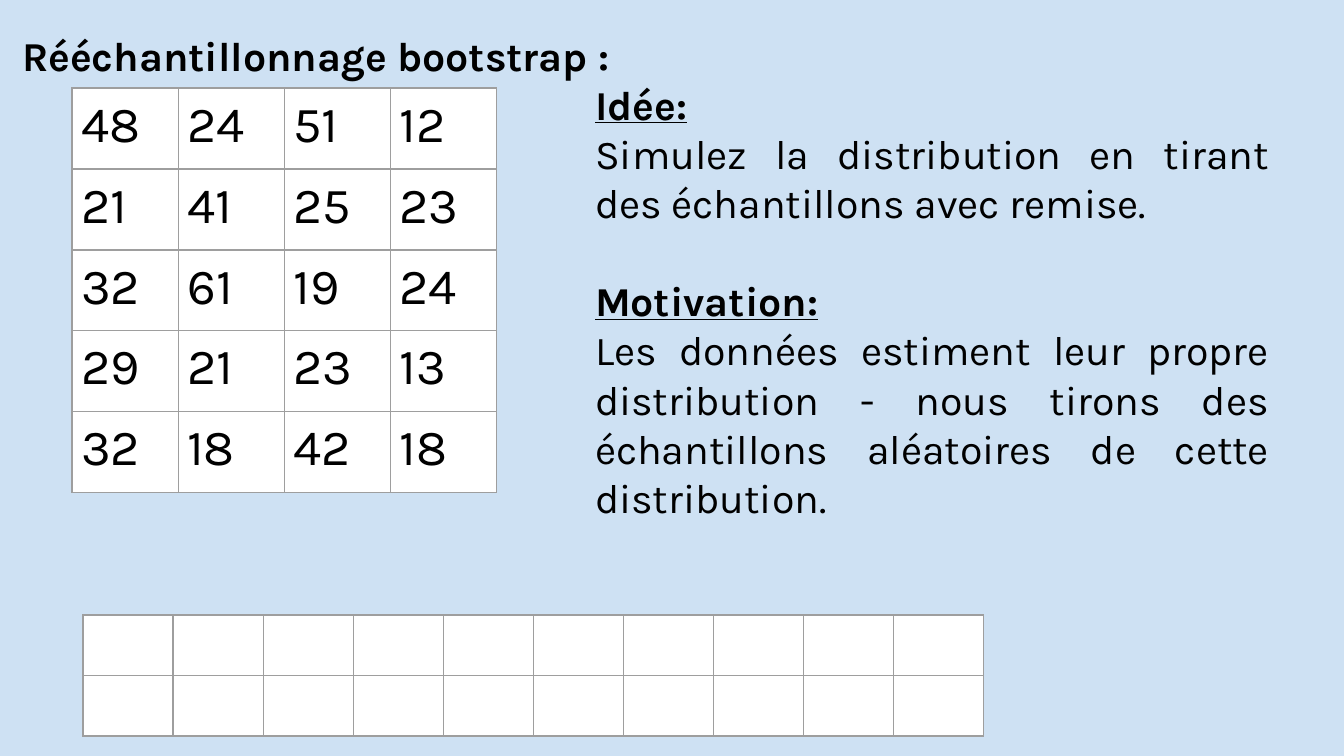
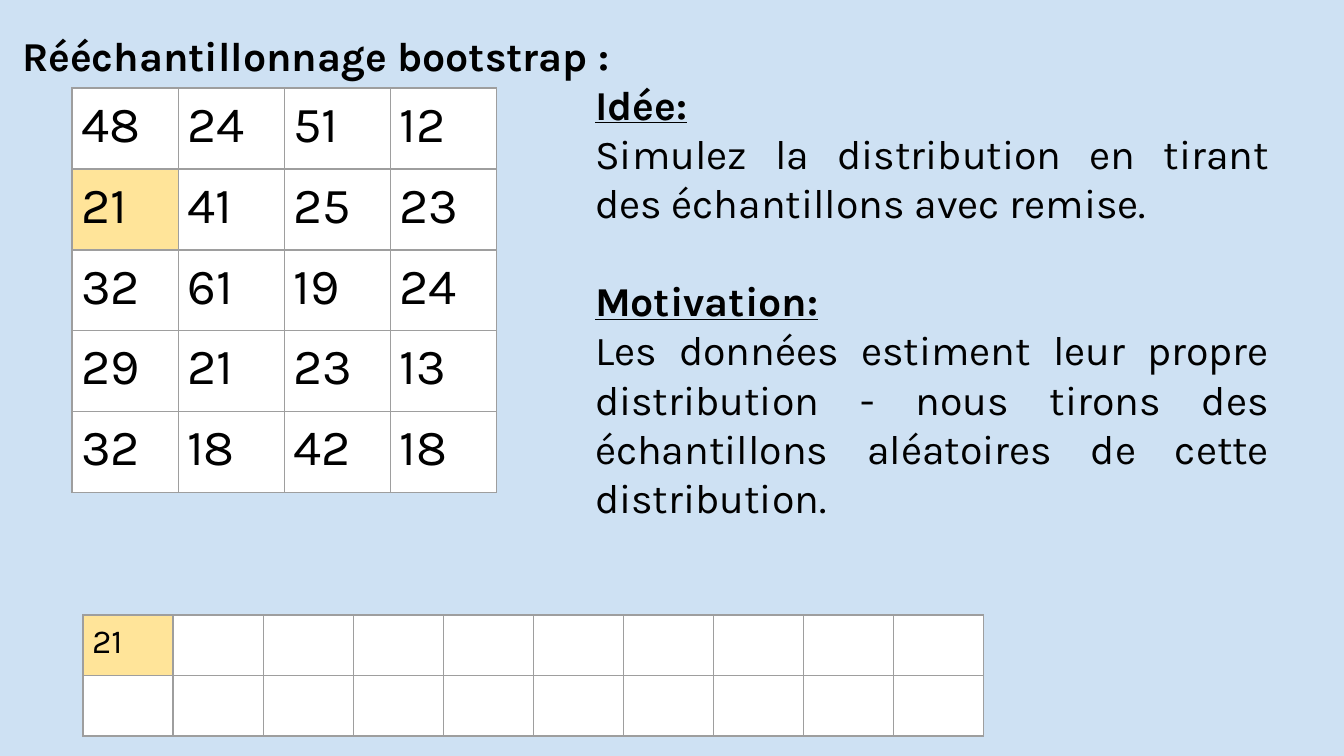
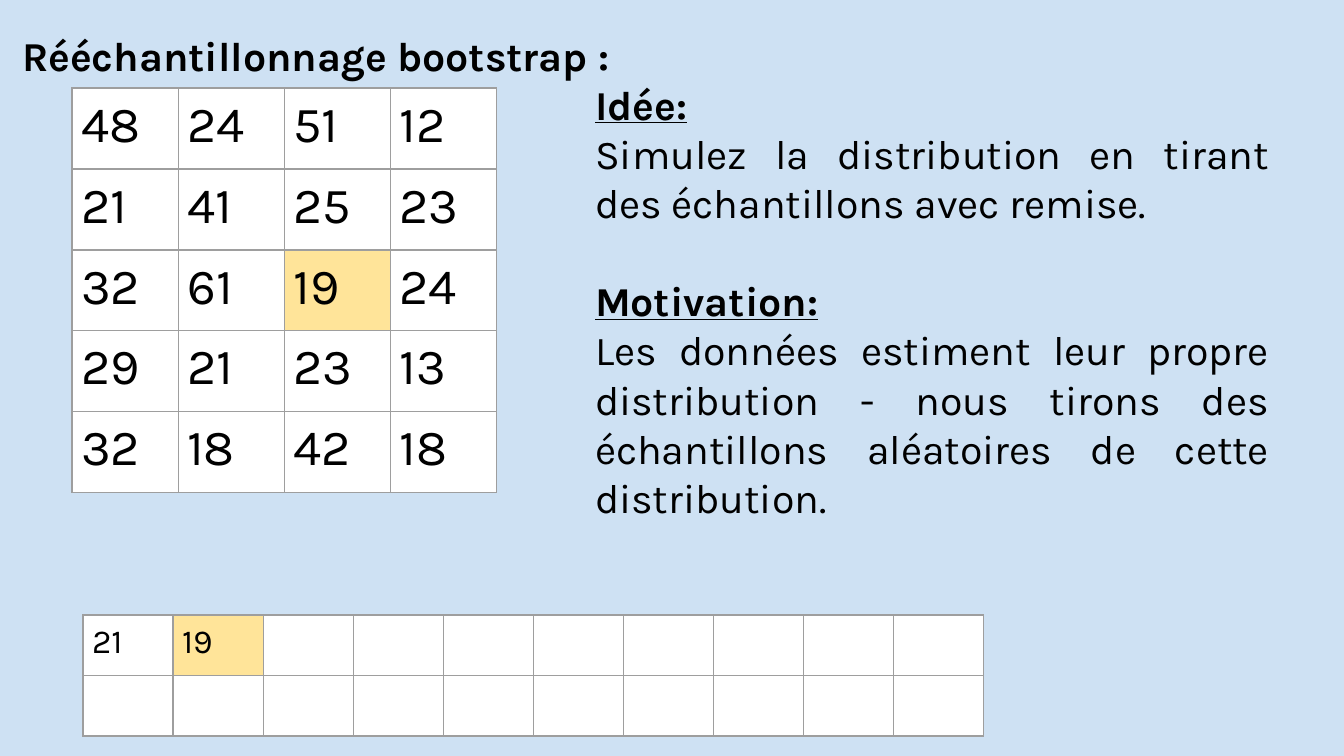
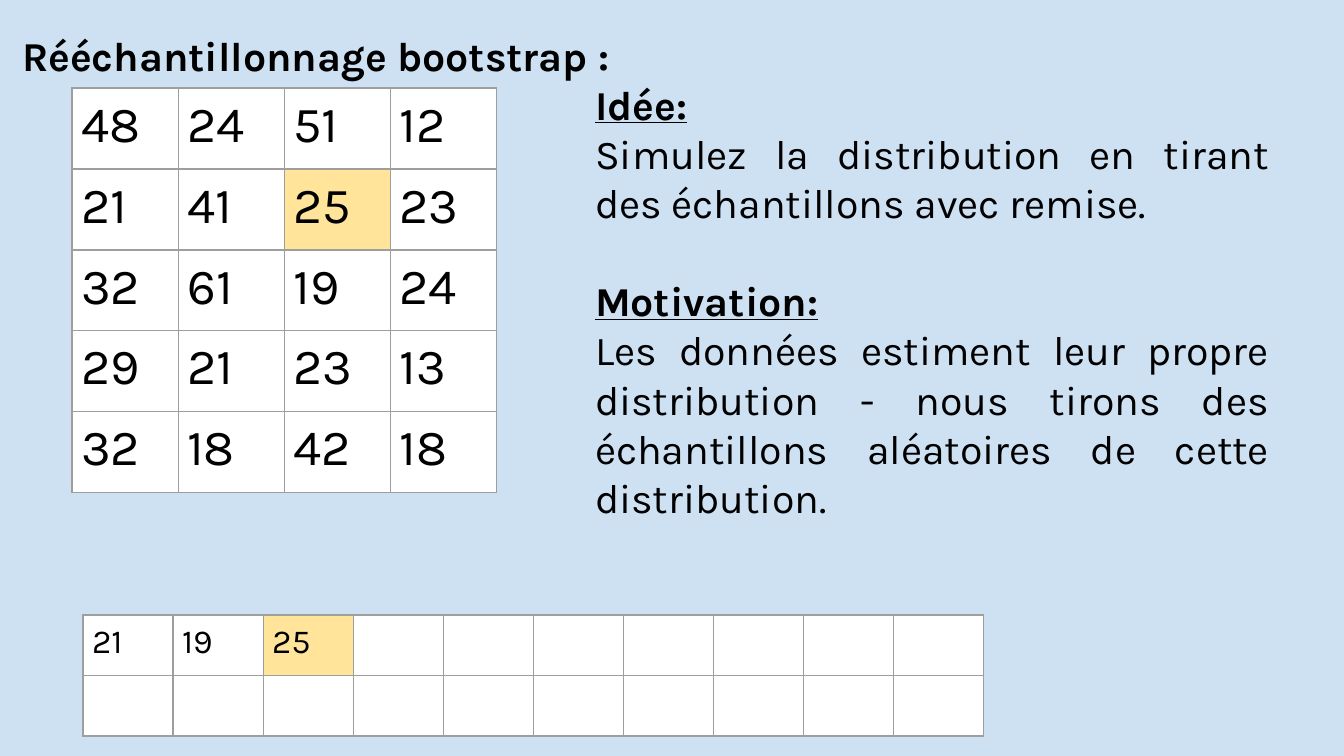
from dataclasses import dataclass

from lxml import etree
from pptx import Presentation
from pptx import util as u
from pptx.dml.color import RGBColor
from pptx.enum import shapes, text
from pptx.oxml import ns


@dataclass(frozen=True)
class Theme:
    sky: str = "CEE1F3"
    cell: str = "FFFFFF"
    drawn: str = "FFE499"
    border: str = "9E9E9E"
    ink: str = "000000"
    font: str = "Karla"
    body_pt: int = 22
    data_pt: int = 27
    sample_pt: int = 18
    border_pt: float = 0.75
    section_gap_pt: int = 26


THEME = Theme()
SLIDE = (0, 0, 1344, 756)
DATA_BOX = (72, 88, 425, 405)
SAMPLE_BOX = (83, 615, 901, 121)
TEXT_BOX = (22, 0, 1247, 555)
TEXT_TOP = 30
TEXT_INDENT = 573
CELL_TOP = 8
CELL_INDENT = 9

DATA = [
    [48, 24, 51, 12],
    [21, 41, 25, 23],
    [32, 61, 19, 24],
    [29, 21, 23, 13],
    [32, 18, 42, 18],
]
DRAWS = [(1, 0), (2, 2), (1, 2)]
SAMPLE_ROWS, SAMPLE_COLS = 2, 10

TITLE = "Rééchantillonnage bootstrap :"
SECTIONS = [
    ("Idée:", "Simulez la distribution en tirant des échantillons avec remise."),
    ("Motivation:", "Les données estiment leur propre distribution - nous tirons "
                    "des échantillons aléatoires de cette distribution."),
]


def px(n):
    return u.Emu(round(n * 914400 / 134.4))


def rgb(color):
    return RGBColor.from_string(color)


def paint(fill, color):
    fill.solid()
    fill.fore_color.rgb = rgb(color)


def indent(p, left):
    pPr = p._p.get_or_add_pPr()
    pPr.set("marL", str(px(left)))
    pPr.set("indent", "0")


def style(p, size, bold=False, underline=False):
    for r in p.runs:
        f = r.font
        f.name, f.size = THEME.font, u.Pt(size)
        f.bold, f.underline = bold, underline
        f.color.rgb = rgb(THEME.ink)


def set_margins(target, top):
    target.margin_left = target.margin_right = target.margin_bottom = 0
    target.margin_top = px(top)


def add_borders(cell):
    tcPr = cell._tc.get_or_add_tcPr()
    for side in ("a:lnL", "a:lnR", "a:lnT", "a:lnB"):
        ln = etree.SubElement(tcPr, ns.qn(side), w=str(u.Pt(THEME.border_pt)))
        fill = etree.SubElement(ln, ns.qn("a:solidFill"))
        etree.SubElement(fill, ns.qn("a:srgbClr"), val=THEME.border)


def add_grid(s, box, values, size, drawn):
    x, y, w, h = box
    rows, cols = len(values), len(values[0])
    table = s.shapes.add_table(rows, cols, px(x), px(y), px(w), px(h)).table
    table.first_row = table.horz_banding = False
    for col in table.columns:
        col.width = px(w / cols)
    for row in table.rows:
        row.height = px(h / rows)
    for i, row in enumerate(values):
        for j, value in enumerate(row):
            cell = table.cell(i, j)
            set_margins(cell, CELL_TOP)
            add_borders(cell)
            paint(cell.fill, THEME.drawn if (i, j) == drawn else THEME.cell)
            p = cell.text_frame.paragraphs[0]
            indent(p, CELL_INDENT)
            p.text = str(value)
            style(p, size)


def add_background(s, box):
    sp = s.shapes.add_shape(shapes.MSO_SHAPE.RECTANGLE, *map(px, box))
    sp.shadow.inherit = False
    paint(sp.fill, THEME.sky)
    sp.line.fill.background()


def add_explanation(s, box):
    tf = s.shapes.add_textbox(*map(px, box)).text_frame
    tf.word_wrap = True
    set_margins(tf, TEXT_TOP)
    p = tf.paragraphs[0]
    p.text = TITLE
    style(p, THEME.body_pt, bold=True)
    for n, (heading, body) in enumerate(SECTIONS):
        for is_heading, words in ((True, heading), (False, body)):
            p = tf.add_paragraph()
            indent(p, TEXT_INDENT)
            p.text = words
            style(p, THEME.body_pt, is_heading, is_heading)
            if is_heading and n:
                p.space_before = u.Pt(THEME.section_gap_pt)
    for p in tf.paragraphs:
        p.alignment = text.PP_ALIGN.JUSTIFY


def sample_values(count):
    flat = [DATA[i][j] for i, j in DRAWS[:count]]
    flat += [""] * (SAMPLE_ROWS * SAMPLE_COLS - count)
    return [flat[k:k + SAMPLE_COLS] for k in range(0, len(flat), SAMPLE_COLS)]


def bootstrap_slide(prs, count):
    s = prs.slides.add_slide(prs.slide_layouts[6])
    source = DRAWS[count - 1] if count else None
    target = divmod(count - 1, SAMPLE_COLS) if count else None
    add_background(s, SLIDE)
    add_grid(s, DATA_BOX, DATA, THEME.data_pt, source)
    add_grid(s, SAMPLE_BOX, sample_values(count), THEME.sample_pt, target)
    add_explanation(s, TEXT_BOX)


def main():
    prs = Presentation()
    prs.slide_width, prs.slide_height = map(px, SLIDE[2:])
    for count in range(len(DRAWS) + 1):
        bootstrap_slide(prs, count)
    prs.save("out.pptx")


if __name__ == "__main__":
    main()
